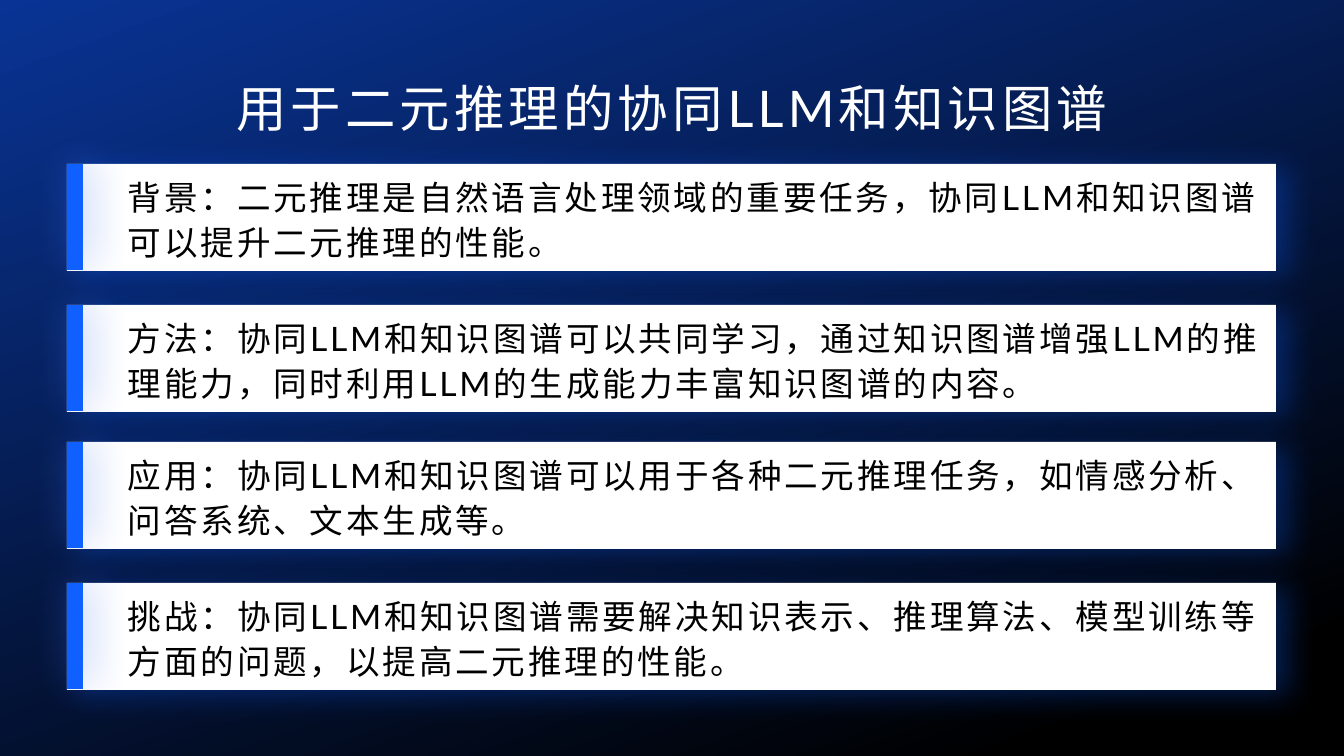
from dataclasses import dataclass

import lxml.etree
import pptx
import pptx.dml.color
import pptx.enum.shapes
import pptx.enum.text
import pptx.oxml.ns
import pptx.slide
import pptx.util

RGBColor = pptx.dml.color.RGBColor
BLUE = RGBColor(0x09, 0x34, 0x95)
BLACK = RGBColor(0x00, 0x00, 0x00)
WHITE = RGBColor(0xFF, 0xFF, 0xFF)
ACCENT = RGBColor(0x0F, 0x60, 0xFF)
ACCENT_GLOW = RGBColor(0x45, 0x75, 0xF0)

SLIDE_W, SLIDE_H = 1344, 756
EMU_PER_PX = 12192000 / SLIDE_W
FONT = "Lato"

CARD_LEFT, CARD_W, CARD_H = 67, 1209, 107
BAR_W, BAR_H = 16, 106
TEXT_LEFT, TEXT_W = 118, 1157
INSET = 10


@dataclass(frozen=True)
class Shadow:
    color: RGBColor
    opacity: int
    blur: int
    distance: int
    angle: int


@dataclass(frozen=True)
class TextStyle:
    size: int
    color: RGBColor
    tracking: int
    align: pptx.enum.text.PP_ALIGN
    line_spacing: float


@dataclass(frozen=True)
class Card:
    top: int
    text: str
    right_inset: int


CARD_SHADOW = Shadow(ACCENT, 30, 22, 9, 17)
BAR_SHADOW = Shadow(ACCENT_GLOW, 45, 30, 5, 315)
TITLE = TextStyle(36, WHITE, 3, pptx.enum.text.PP_ALIGN.CENTER, 1.0)
BODY = TextStyle(24, BLACK, 2, pptx.enum.text.PP_ALIGN.LEFT, 1.1)

CARDS = [
    Card(164, "背景：二元推理是自然语言处理领域的重要任务，协同LLM和知识图谱可以提升二元推理的性能。", 0),
    Card(305, "方法：协同LLM和知识图谱可以共同学习，通过知识图谱增强LLM的推理能力，"
              "同时利用LLM的生成能力丰富知识图谱的内容。", INSET),
    Card(442, "应用：协同LLM和知识图谱可以用于各种二元推理任务，如情感分析、问答系统、文本生成等。", 0),
    Card(583, "挑战：协同LLM和知识图谱需要解决知识表示、推理算法、模型训练等方面的问题，"
              "以提高二元推理的性能。", INSET),
]


def px(n: int) -> pptx.util.Emu:
    return pptx.util.Emu(round(n * EMU_PER_PX))


def add_shadow(sp, shadow: Shadow) -> None:
    sp.shadow.inherit = False
    effects = sp._element.spPr.find(pptx.oxml.ns.qn("a:effectLst"))
    outer = lxml.etree.SubElement(
        effects, pptx.oxml.ns.qn("a:outerShdw"),
        blurRad=str(pptx.util.Pt(shadow.blur)), dist=str(pptx.util.Pt(shadow.distance)),
        dir=str(shadow.angle * 60000), algn="ctr", rotWithShape="0")
    color = lxml.etree.SubElement(outer, pptx.oxml.ns.qn("a:srgbClr"), val=str(shadow.color))
    lxml.etree.SubElement(color, pptx.oxml.ns.qn("a:alpha"), val=str(shadow.opacity * 1000))


def add_block(s: pptx.slide.Slide, left: int, top: int, width: int, height: int,
              color: RGBColor, shadow: Shadow) -> None:
    sp = s.shapes.add_shape(pptx.enum.shapes.MSO_SHAPE.RECTANGLE,
                            px(left), px(top), px(width), px(height))
    sp.fill.solid()
    sp.fill.fore_color.rgb = color
    sp.line.fill.background()
    add_shadow(sp, shadow)


def add_text(s: pptx.slide.Slide, left: int, top: int, width: int, height: int,
             text: str, style: TextStyle, right_inset: int = INSET) -> None:
    tf = s.shapes.add_textbox(px(left), px(top), px(width), px(height)).text_frame
    frame_format = {
        "word_wrap": True,
        "vertical_anchor": pptx.enum.text.MSO_ANCHOR.MIDDLE,
        "margin_left": px(INSET),
        "margin_right": px(right_inset),
        "margin_top": px(5),
        "margin_bottom": px(5),
    }
    for name, value in frame_format.items():
        setattr(tf, name, value)
    p = tf.paragraphs[0]
    p.alignment = style.align
    p.line_spacing = style.line_spacing
    r = p.add_run()
    r.text = text
    for name, value in {"name": FONT, "size": pptx.util.Pt(style.size)}.items():
        setattr(r.font, name, value)
    r.font.color.rgb = style.color
    props = r._r.get_or_add_rPr()
    props.set("lang", "zh-CN")
    props.set("spc", str(style.tracking * 100))
    lxml.etree.SubElement(props, pptx.oxml.ns.qn("a:ea"), typeface=FONT)


def paint_background(s: pptx.slide.Slide) -> None:
    fill = s.background.fill
    fill.gradient()
    fill.gradient_angle = 290
    for stop, (position, color) in zip(fill.gradient_stops, [(0, BLUE), (0.9, BLACK)]):
        stop.position = position
        stop.color.rgb = color


def main() -> None:
    prs = pptx.Presentation()
    prs.slide_width, prs.slide_height = px(SLIDE_W), px(SLIDE_H)
    s = prs.slides.add_slide(prs.slide_layouts[6])
    paint_background(s)
    add_text(s, 67, 68, 1210, 78, "用于二元推理的协同LLM和知识图谱", TITLE)
    for card in CARDS:
        add_block(s, CARD_LEFT, card.top, CARD_W, CARD_H, WHITE, CARD_SHADOW)
        add_block(s, CARD_LEFT, card.top, BAR_W, BAR_H, ACCENT, BAR_SHADOW)
        add_text(s, TEXT_LEFT, card.top, TEXT_W, CARD_H, card.text, BODY, card.right_inset)
    prs.save("out.pptx")


if __name__ == "__main__":
    main()
